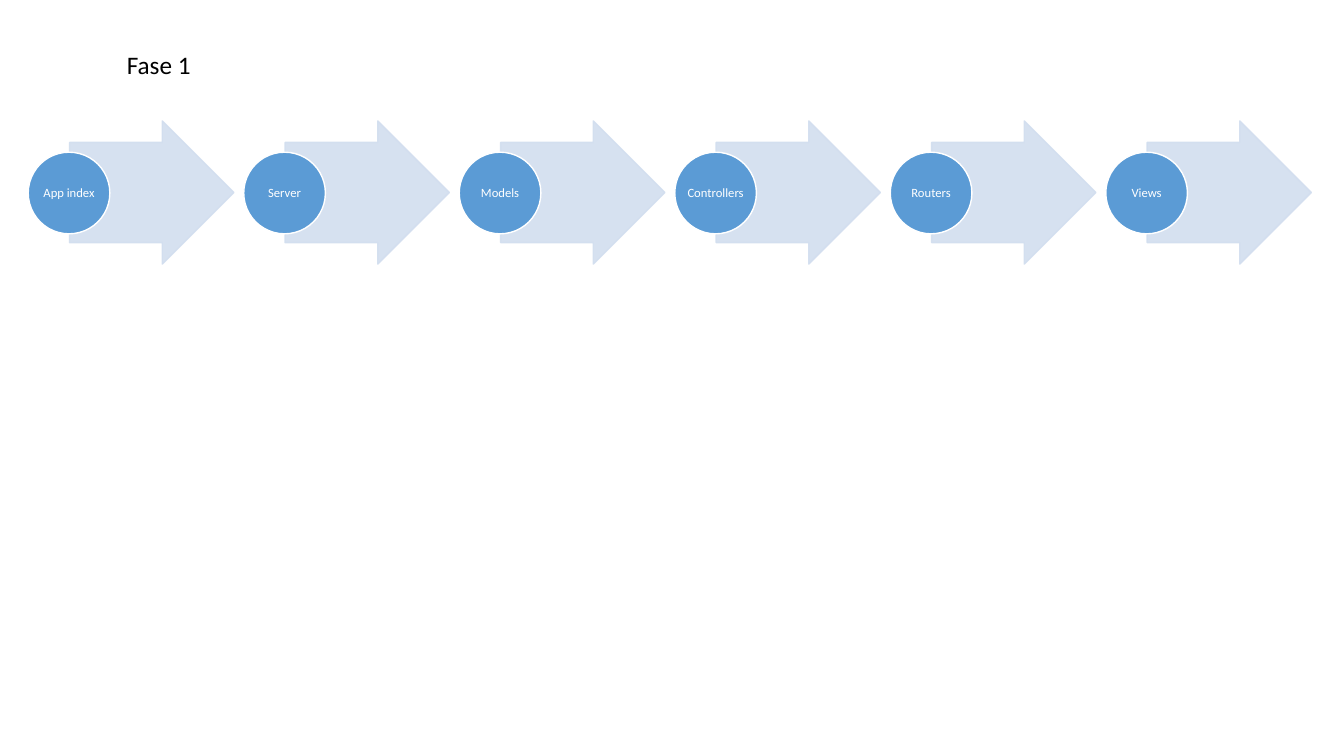
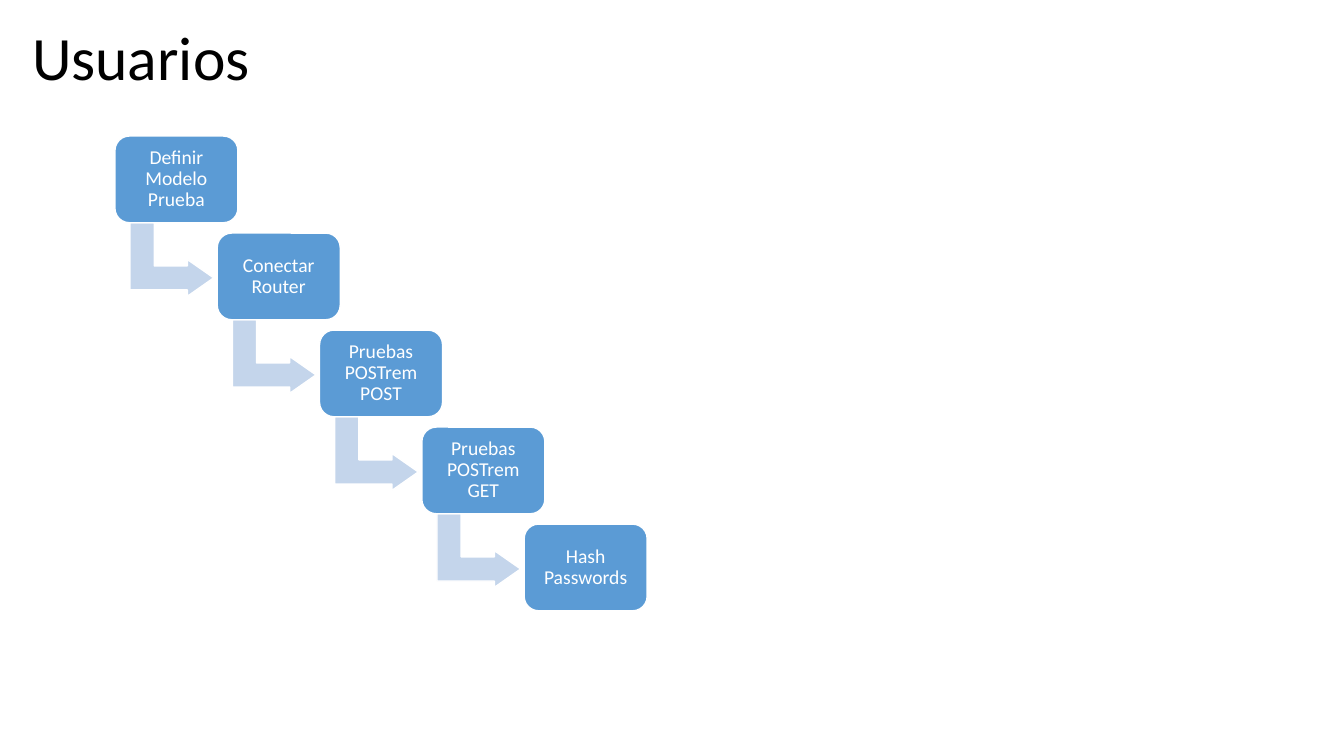
"""Build two slides: the phases of an application and the steps of its users module."""
import dataclasses

import lxml.etree
import pptx
import pptx.dml.color
import pptx.enum.shapes
import pptx.enum.text
import pptx.oxml.ns
import pptx.util

PX = 9144
SHAPES = pptx.enum.shapes.MSO_SHAPE
ANCHOR = pptx.enum.text.MSO_ANCHOR
ALIGN = pptx.enum.text.PP_ALIGN


@dataclasses.dataclass(frozen=True)
class Theme:
    font: str = "Calibri"
    blue: str = "5B9BD5"
    pale_blue: str = "D2DEEF"
    soft_blue: str = "C4D5EB"
    white: str = "FFFFFF"
    black: str = "000000"
    title_size: int = 44
    label_size: int = 18
    step_size: int = 14
    circle_size: int = 9
    line_width: int = 1
    spacing: float = 0.9


theme = Theme()


def write(shape, text, size, color, align, anchor, wrap=True):
    frame = shape.text_frame
    frame.word_wrap = wrap
    frame.vertical_anchor = anchor
    paragraph = frame.paragraphs[0]
    paragraph.text = text
    paragraph.alignment = align
    paragraph.line_spacing = theme.spacing
    paragraph.font.name = theme.font
    paragraph.font.size = pptx.util.Pt(size)
    paragraph.font.color.rgb = pptx.dml.color.RGBColor.from_string(color)
    return frame


def draw(slide, kind, box, fill, line, adjustments=(), inset=0, opacity=100):
    shape = slide.shapes.add_shape(kind, *(round(length * PX) for length in box))
    shape.shadow.inherit = False
    shape.fill.solid()
    shape.fill.fore_color.rgb = pptx.dml.color.RGBColor.from_string(fill)
    shape.line.color.rgb = pptx.dml.color.RGBColor.from_string(line)
    shape.line.width = pptx.util.Pt(theme.line_width)
    for index, value in enumerate(adjustments):
        shape.adjustments[index] = value
    frame = shape.text_frame
    frame.margin_left = frame.margin_right = inset * PX
    frame.margin_top = frame.margin_bottom = inset * PX
    if opacity < 100:
        for color in shape._element.spPr.iter(pptx.oxml.ns.qn("a:srgbClr")):
            alpha = lxml.etree.SubElement(color, pptx.oxml.ns.qn("a:alpha"))
            alpha.set("val", str(opacity * 1000))
    return shape


presentation = pptx.Presentation()
presentation.slide_width = pptx.util.Inches(13.333)
presentation.slide_height = pptx.util.Inches(7.5)
blank = presentation.slide_layouts[6]

phase_slide = presentation.slides.add_slide(blank)
phases = ["App index", "Server", "Models", "Controllers", "Routers", "Views"]
phase_span = 1069
for index, phase in enumerate(phases):
    left = 28 + phase_span * index / (len(phases) - 1)
    draw(phase_slide, SHAPES.RIGHT_ARROW, (left + 41, 120, 163, 142),
         theme.pale_blue, theme.pale_blue, (0.7, 0.5), opacity=90)
    circle = draw(phase_slide, SHAPES.OVAL, (left, 151, 81, 81),
                  theme.blue, theme.white, inset=1)
    write(circle, phase, theme.circle_size, theme.white, ALIGN.CENTER, ANCHOR.MIDDLE, wrap=False)

label = phase_slide.shapes.add_textbox(116 * PX, 44 * PX, 84 * PX, 40 * PX)
label_frame = write(label, "Fase 1", theme.label_size, theme.black, ALIGN.LEFT, ANCHOR.TOP, wrap=False)
label_frame.paragraphs[0].line_spacing = 1.0
label_frame.auto_size = pptx.enum.text.MSO_AUTO_SIZE.SHAPE_TO_FIT_TEXT

user_slide = presentation.slides.add_slide(blank)
title = user_slide.shapes.add_textbox(22 * PX, -12 * PX, 1150 * PX, 145 * PX)
write(title, "Usuarios", theme.title_size, theme.black, ALIGN.LEFT, ANCHOR.MIDDLE)

steps = ["Definir Modelo Prueba", "Conectar Router", "Pruebas POSTrem POST",
         "Pruebas POSTrem GET", "Hash Passwords"]
step_span, step_drop = 406, 385
last = len(steps) - 1
for index, step in enumerate(steps):
    left = 114 + step_span * index / last
    top = 135 + step_drop * index / last
    if index < last:
        arrow = draw(user_slide, SHAPES.BENT_UP_ARROW, (left + 20, top + 81, 73, 83),
                     theme.soft_blue, theme.white, (0.328, 0.25, 0.358))
        arrow.rotation = 90
    box = draw(user_slide, SHAPES.ROUNDED_RECTANGLE, (left, top, 122, 86),
               theme.blue, theme.white, (0.167,), inset=6)
    write(box, step, theme.step_size, theme.white, ALIGN.CENTER, ANCHOR.MIDDLE)

presentation.save("out.pptx")
